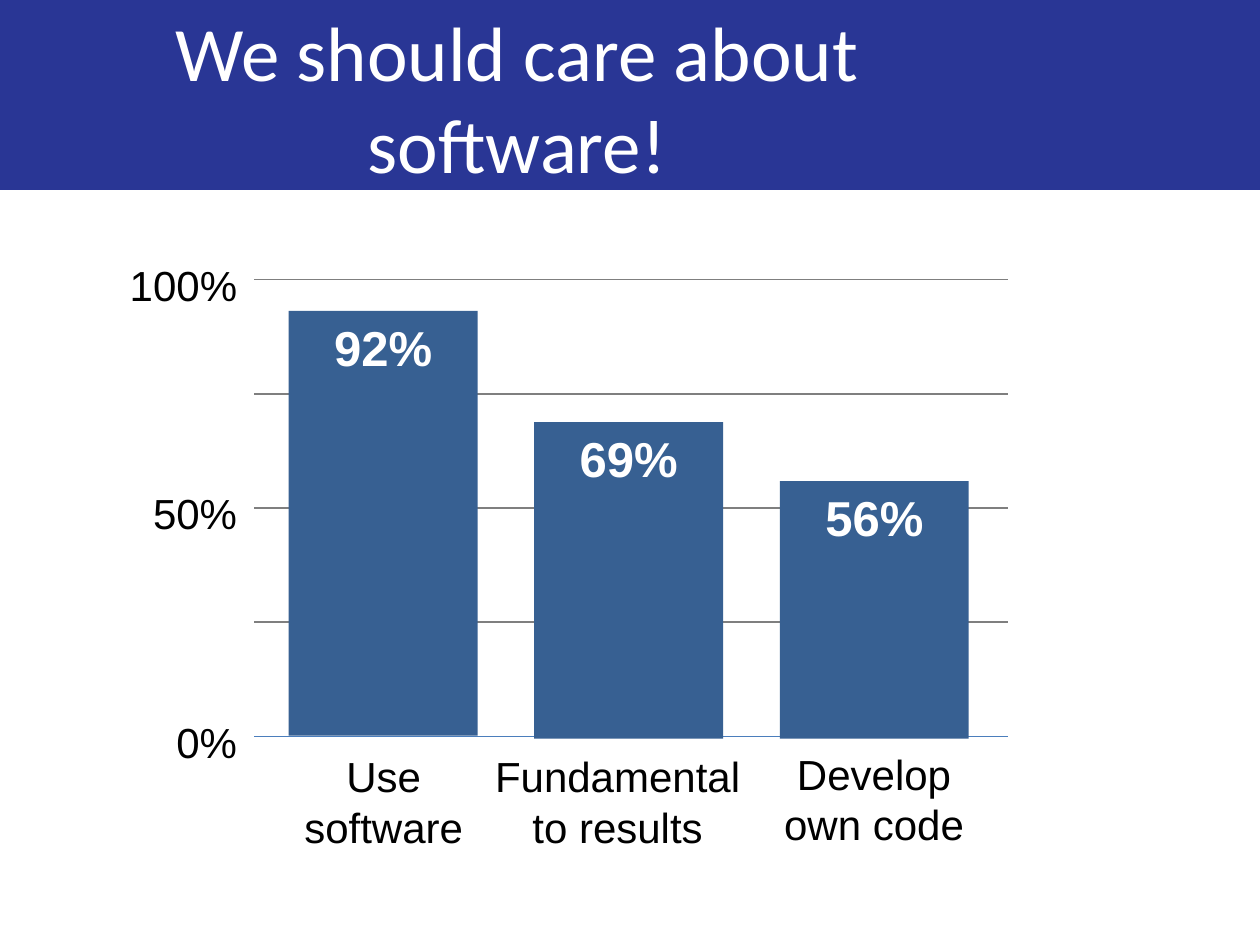
from dataclasses import dataclass

from lxml import etree
from pptx import Presentation
from pptx.dml.color import RGBColor
from pptx.enum.shapes import MSO_CONNECTOR, MSO_SHAPE
from pptx.enum.text import MSO_ANCHOR, PP_ALIGN
from pptx.oxml.ns import qn
from pptx.util import Cm, Pt

RECT = MSO_SHAPE.RECTANGLE
STRAIGHT = MSO_CONNECTOR.STRAIGHT
TOP, MIDDLE = MSO_ANCHOR.TOP, MSO_ANCHOR.MIDDLE
CENTER, RIGHT = PP_ALIGN.CENTER, PP_ALIGN.RIGHT

BAND, BAR, WHITE, BLACK = "293695", "376092", "FFFFFF", "000000"
GRID, BASELINE = "7F7F7F", "4B7EBC"

# Plot area, in cm
PLOT_LEFT, PLOT_RIGHT = 5.13, 20.32
PLOT_TOP, GRID_STEP, GRID_COUNT = 5.64, 2.3, 5
BAR_LEFT, BAR_PITCH, BAR_WIDTH = 5.82, 4.95, 3.81


@dataclass
class Bar:
    value: str
    top: float
    bottom: float
    caption: str
    caption_left: float
    caption_top: float
    caption_width: float


BARS = [
    Bar("92%", 6.27, 14.83, "Use software", 5.54, 15.01, 4.39),
    Bar("69%", 8.51, 14.89, "Fundamental to results", 9.63, 15.01, 5.64),
    Bar("56%", 9.7, 14.89, "Develop own code", 15.27, 14.96, 4.7),
]


def rgb(color: str) -> RGBColor:
    return RGBColor.from_string(color)


def write(sp, text: str, size: float, color: str, align=CENTER,
          anchor=TOP, font: str = "Arial", bold: bool = False) -> None:
    tf = sp.text_frame
    tf.word_wrap = True
    tf.vertical_anchor = anchor
    p = tf.paragraphs[0]
    p.alignment = align
    r = p.add_run()
    r.text = text
    r.font.name = font
    r.font.size = Pt(size)
    r.font.bold = bold
    r.font.color.rgb = rgb(color)


def add_text(shapes, left: float, top: float, width: float, height: float,
             text: str, size: float, color: str, **style) -> None:
    sp = shapes.add_textbox(Cm(left), Cm(top), Cm(width), Cm(height))
    write(sp, text, size, color, **style)


def add_rect(shapes, left: float, top: float, width: float, height: float,
             color: str):
    sp = shapes.add_shape(RECT, Cm(left), Cm(top), Cm(width), Cm(height))
    sp.shadow.inherit = False
    sp.fill.solid()
    sp.fill.fore_color.rgb = rgb(color)
    sp.line.fill.background()
    return sp


def add_gridline(shapes, y: float, color: str) -> None:
    line = shapes.add_connector(STRAIGHT, Cm(PLOT_LEFT), Cm(y),
                                Cm(PLOT_RIGHT), Cm(y))
    line.line.color.rgb = rgb(color)
    line.line.width = Pt(0.75)
    etree.SubElement(line._element.spPr, qn("a:effectLst"))


def add_bar(shapes, index: int, bar: Bar) -> None:
    """Group a bar holding its value with the caption below it."""
    group = shapes.add_group_shape().shapes
    sp = add_rect(group, BAR_LEFT + index * BAR_PITCH, bar.top, BAR_WIDTH,
                  bar.bottom - bar.top, BAR)
    write(sp, bar.value, 28, WHITE, bold=True)
    add_text(group, bar.caption_left, bar.caption_top, bar.caption_width, 2.31,
             bar.caption, 24, BLACK)


def main() -> None:
    prs = Presentation()
    prs.slide_width, prs.slide_height = Cm(25.4), Cm(19.05)
    s = prs.slides.add_slide(prs.slide_layouts[6])
    shapes = s.shapes

    add_rect(shapes, 0, 0, 25.4, 3.83, BAND)
    add_text(shapes, 0.86, 0.36, 19.13, 3.18, "We should care about software!",
             44, WHITE, anchor=MIDDLE, font="Calibri")

    grid = [PLOT_TOP + i * GRID_STEP for i in range(GRID_COUNT)]
    for y in grid:
        add_gridline(shapes, y, BASELINE if y == grid[-1] else GRID)
    for y, label in zip(grid[::2], ("100%", "50%", "0%")):
        add_text(shapes, 2.21, y - 0.53, 2.82, 1.27, label, 24, BLACK,
                 align=RIGHT)
    for i, bar in enumerate(BARS):
        add_bar(shapes, i, bar)

    prs.save("out.pptx")


if __name__ == "__main__":
    main()
